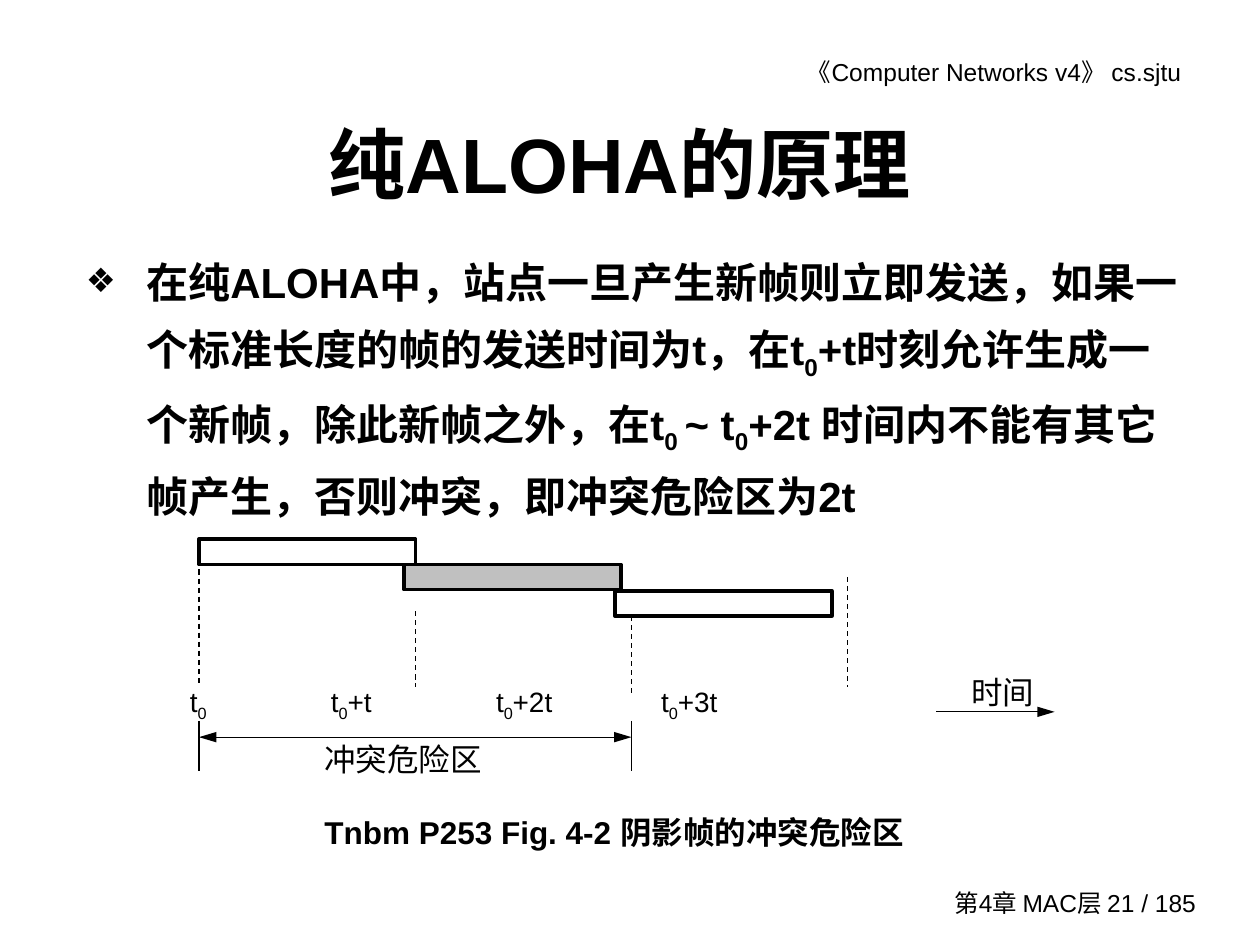
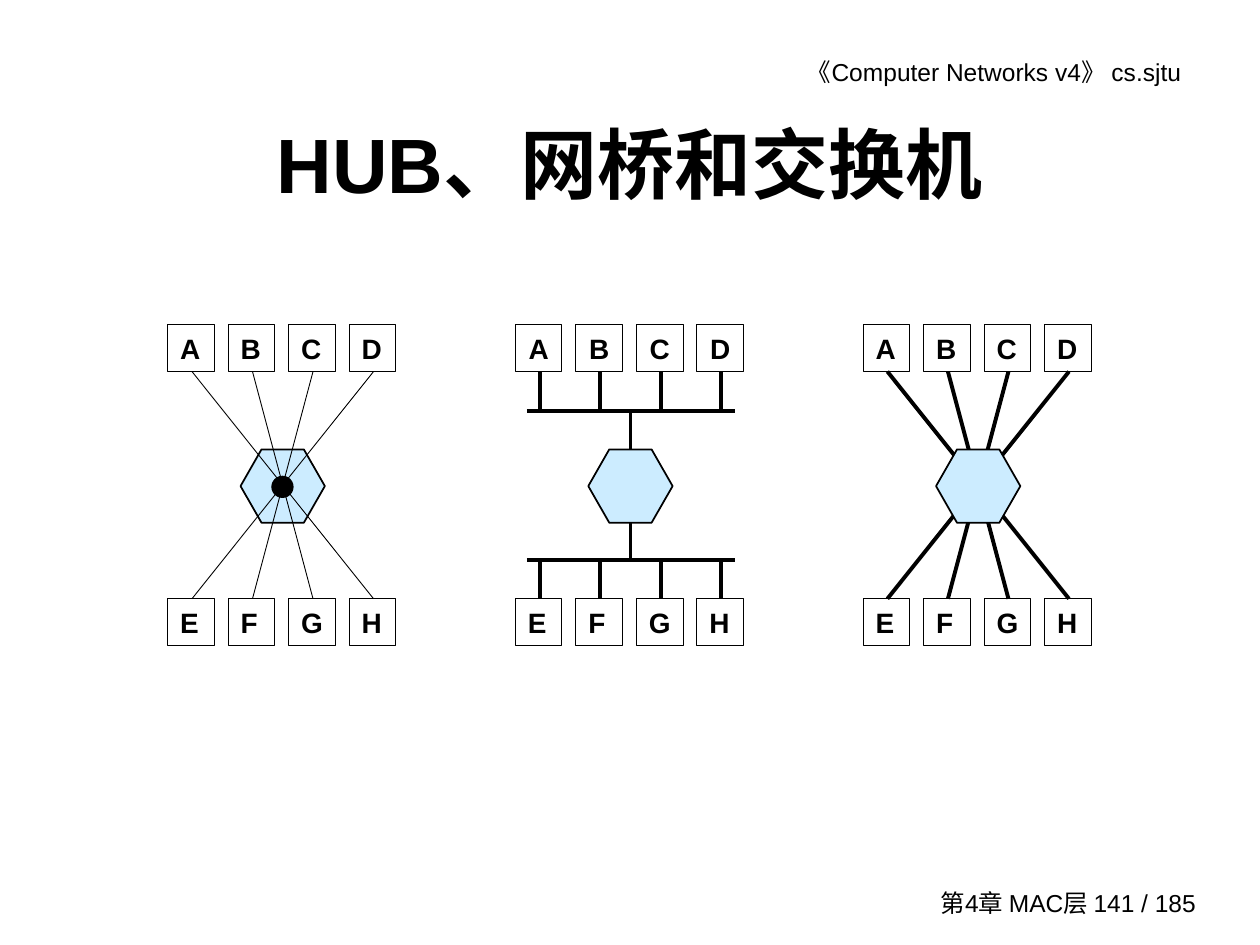
from lxml import etree
from pptx import Presentation
from pptx import util as u
from pptx.dml.color import RGBColor
from pptx.enum import dml, shapes, text
from pptx.oxml import ns

COLORS = {"ink": "000000", "shade": "C0C0C0", "device": "CCECFF"}
INK = RGBColor.from_string(COLORS["ink"])
FONT = "Arial"
INSET = (0.25, 0.13)
KIND = shapes.MSO_SHAPE
LEFT, CENTER, RIGHT = text.PP_ALIGN.LEFT, text.PP_ALIGN.CENTER, text.PP_ALIGN.RIGHT


def put(s, kind, x, y, w, h, runs=(), size=16, bold=False, align=LEFT, middle=False,
        fill=None, line=1, font=FONT, inset=INSET):
    """Add a text box (kind None) or a preset shape; odd-numbered runs are subscripts."""
    box = [u.Cm(v) for v in (x, y, w, h)]
    if kind is None:
        sp = s.shapes.add_textbox(*box)
    else:
        sp = s.shapes.add_shape(kind, *box)
        sp.shadow.inherit = False
        sp.line.color.rgb = INK
        sp.line.width = u.Pt(line)
        if fill:
            sp.fill.solid()
            sp.fill.fore_color.rgb = RGBColor.from_string(COLORS[fill])
        else:
            sp.fill.background()
    tf = sp.text_frame
    tf.word_wrap = True
    tf.vertical_anchor = text.MSO_ANCHOR.MIDDLE if middle else text.MSO_ANCHOR.TOP
    tf.margin_left = tf.margin_right = u.Cm(inset[0])
    tf.margin_top = tf.margin_bottom = u.Cm(inset[1])
    p = tf.paragraphs[0]
    p.alignment = align
    for i, words in enumerate(runs):
        r = p.add_run()
        r.text = words
        r.font.name, r.font.size, r.font.bold = font, u.Pt(size), bold
        r.font.color.rgb = INK
        if i % 2:
            r.font._element.set("baseline", "-25000")
    return sp


def rule(s, x1, y1, x2, y2, width=0.75, dash=False, arrows=()):
    """Draw a straight line; arrows lists the ends with a head: headEnd, tailEnd."""
    c = s.shapes.add_connector(shapes.MSO_CONNECTOR.STRAIGHT,
                               u.Cm(x1), u.Cm(y1), u.Cm(x2), u.Cm(y2))
    c.line.color.rgb = INK
    c.line.width = u.Pt(width)
    if dash:
        c.line.dash_style = dml.MSO_LINE.DASH
    for end in arrows:
        etree.SubElement(c.line._get_or_add_ln(), ns.qn("a:" + end), type="triangle",
                         w="med", len="lg")
    etree.SubElement(c._element.spPr, ns.qn("a:effectLst"))


prs = Presentation()
prs.slide_width, prs.slide_height = u.Cm(25.4), u.Cm(19.05)

# Header, footer and title of both slides
slides = []
for title, title_x, page in (("纯ALOHA的原理", 1.7, 21), ("HUB、网桥和交换机", 1.9, 141)):
    s = prs.slides.add_slide(prs.slide_layouts[6])
    put(s, None, 13.61, 1.02, 10.45, 0.86, ["《Computer Networks v4》 cs.sjtu"], 14, align=RIGHT)
    put(s, None, 18.54, 17.78, 5.82, 0.84, [f"第4章 MAC层 {page} / 185"], 14,
        align=RIGHT, middle=True)
    put(s, None, title_x, 1.7, 21.59, 3.18, [title], 44, True, CENTER, middle=True)
    slides.append(s)
aloha, devices = slides

# Slide 1: principle of pure ALOHA
body = put(aloha, None, 1.68, 4.83, 22.17, 5.77,
           ["在纯ALOHA中，站点一旦产生新帧则立即发送，如果一个标准长度的帧的发送时间为t，在t",
            "0", "+t时刻允许生成一个新帧，除此新帧之外，在t", "0 ", "~ t", "0",
            "+2t 时间内不能有其它帧产生，否则冲突，即冲突危险区为2t"],
           24, True, inset=(0.05, 0.03))
p = body.text_frame.paragraphs[0]
p.line_spacing = 1.3
pPr = p._p.get_or_add_pPr()
pPr.set("marL", str(u.Cm(1.22)))
pPr.set("indent", str(-u.Cm(1.22)))
color = etree.SubElement(pPr, ns.qn("a:buClr"))
etree.SubElement(color, ns.qn("a:srgbClr"), val=COLORS["ink"])
etree.SubElement(pPr, ns.qn("a:buSzPct"), val="80000")
etree.SubElement(pPr, ns.qn("a:buFont"), typeface=FONT)
etree.SubElement(pPr, ns.qn("a:buChar"), char="❖")

# Frames on the time axis, the shaded one on top
for x, y, fill in ((4.01, 10.87, None), (12.4, 11.91, None), (8.15, 11.38, "shade")):
    put(aloha, KIND.RECTANGLE, x, y, 4.37, 0.51, fill=fill, line=2)
for x, top, bottom in ((4.01, 11.48, 13.84), (8.38, 12.32, 13.84),
                       (12.73, 12.42, 14.02), (17.09, 11.63, 13.84)):
    rule(aloha, x, top, x, bottom, dash=True)

ticks = put(aloha, None, 3.58, 13.67, 14.3, 1.19,
            ["t", "0", "\tt", "0", "+t\tt", "0", "+2t\tt", "0", "+3t"])
tabs = etree.SubElement(ticks.text_frame.paragraphs[0]._p.get_or_add_pPr(), ns.qn("a:tabLst"))
for stop in (2.84, 6.17, 9.5):
    etree.SubElement(tabs, ns.qn("a:tab"), pos=str(u.Cm(stop)), algn="l")

# Danger zone and direction of time
for x in (4.01, 12.73):
    rule(aloha, x, 14.53, x, 15.54, 1)
rule(aloha, 4.01, 14.86, 12.73, 14.86, arrows=("headEnd", "tailEnd"))
put(aloha, None, 6.22, 14.78, 3.81, 1.02, ["冲突危险区"], 18, align=CENTER)
rule(aloha, 18.87, 14.35, 21.26, 14.35, arrows=("tailEnd",))
put(aloha, None, 19.18, 13.43, 2.08, 1.02, ["时间"], 18, align=CENTER, font="Times New Roman")
put(aloha, None, 3.07, 16.25, 18.62, 0.97, ["Tnbm P253 Fig. 4-2 阴影帧的冲突危险区"],
    18, True, CENTER)

# Slide 2: stations joined by a hub, a bridge and a switch
CELL, PITCH = 0.94, 1.22
TOP_ROW, BOTTOM_ROW = 6.55, 12.07
for n, device in enumerate(("hub", "bridge", "switch")):
    left = 3.38 + 7.01 * n
    center = left + 2.32
    for names, y in (("ABCD", TOP_ROW), ("EFGH", BOTTOM_ROW)):
        centered = device == "bridge" and y == TOP_ROW
        for i, name in enumerate(names):
            put(devices, KIND.RECTANGLE, left + PITCH * i, y, CELL, CELL, [name], bold=True,
                align=CENTER if centered else LEFT, line=0.5)

    ports = [left + 0.49 + PITCH * i for i in range(4)]
    links = []
    if device == "bridge":
        for bus, row, hexagon_edge in ((8.28, TOP_ROW + CELL, 9.09), (11.28, BOTTOM_ROW, 10.49)):
            links.append((left + 0.23, bus, left + 4.42, bus))
            links.append((center, bus, center, hexagon_edge))
            links += [(x, row, x, bus) for x in ports]
    else:
        links = [(a, TOP_ROW + CELL, b, BOTTOM_ROW) for a, b in zip(ports, ports[::-1])]

    # Only the hub shows its links in front of the hexagon
    if device != "hub":
        for link in links:
            rule(devices, *link, 2.25)
    hexagon = put(devices, KIND.HEXAGON, center - 0.85, 9.06, 1.7, 1.48, fill="device")
    hexagon.adjustments[0] = 0.286
    if device == "hub":
        put(devices, KIND.OVAL, center - 0.22, 9.6, 0.43, 0.43, fill="ink", line=0.5)
        for link in links:
            rule(devices, *link, 0.5)

prs.save("out.pptx")
